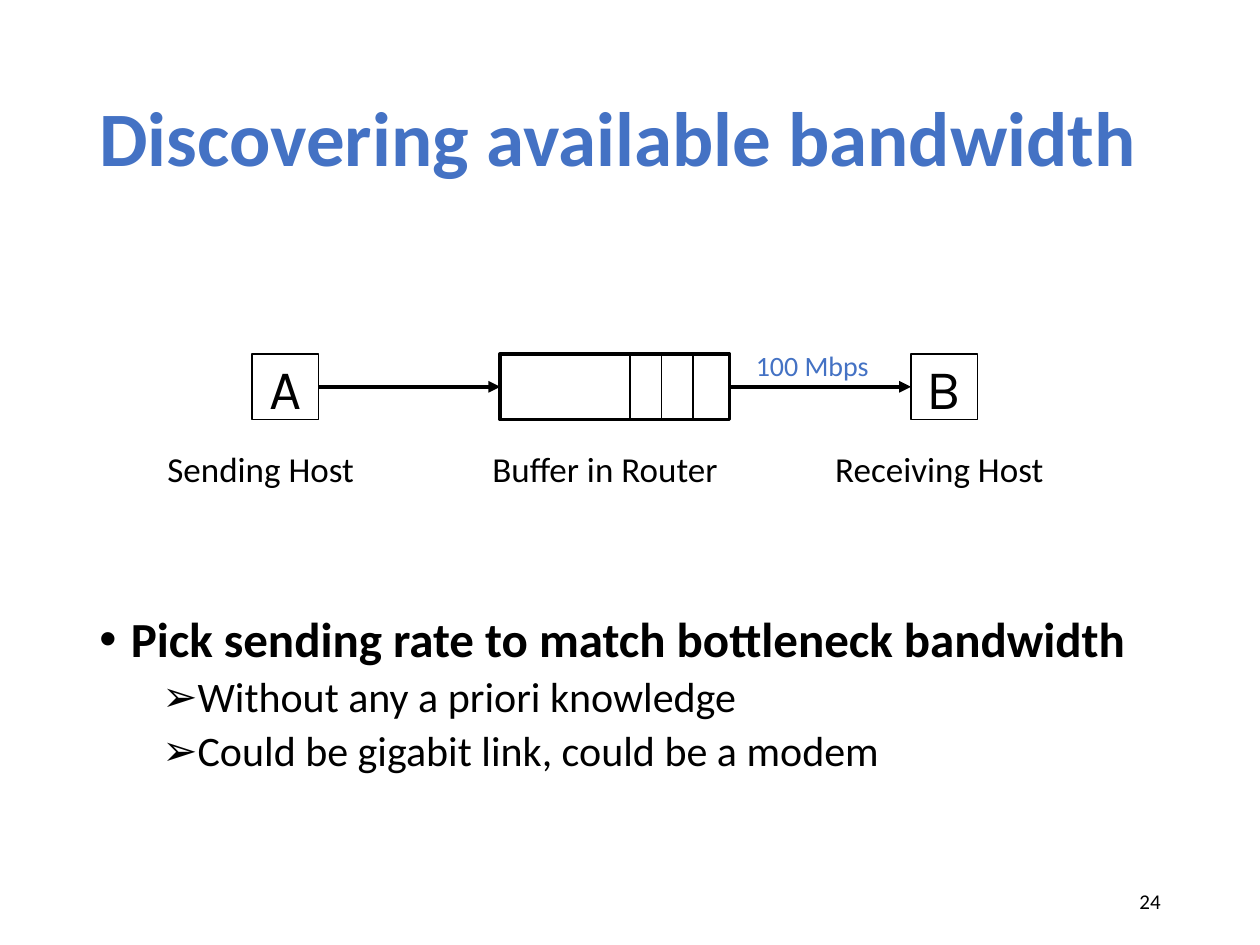
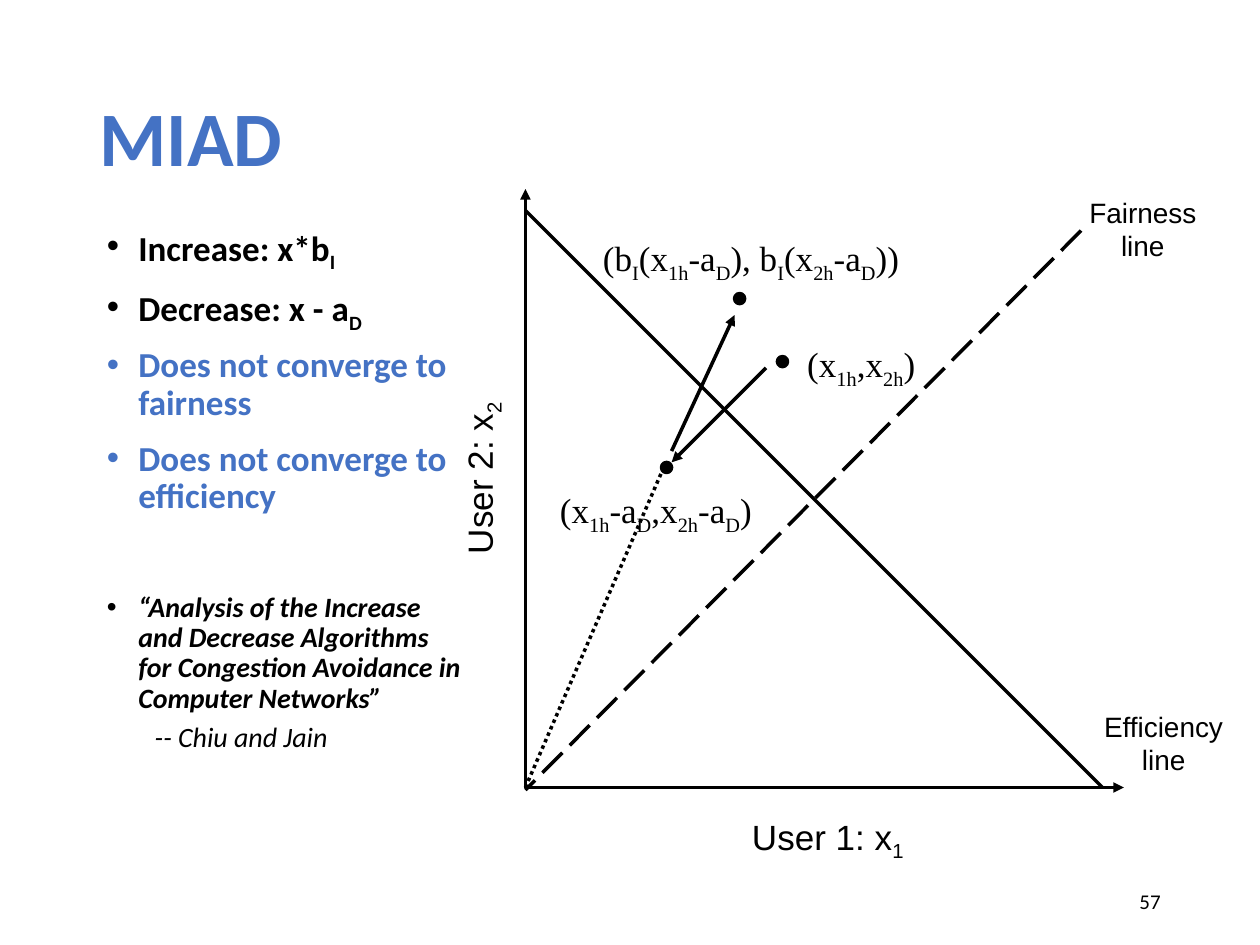
from lxml import etree
from pptx import Presentation
from pptx.dml.color import RGBColor
from pptx.enum.dml import MSO_LINE
from pptx.enum.shapes import MSO_CONNECTOR, MSO_SHAPE
from pptx.enum.text import MSO_ANCHOR, PP_ALIGN
from pptx.oxml.ns import qn
from pptx.util import Inches, Pt

STRAIGHT = MSO_CONNECTOR.STRAIGHT
RECTANGLE, OVAL = MSO_SHAPE.RECTANGLE, MSO_SHAPE.OVAL
TOP, MIDDLE = MSO_ANCHOR.TOP, MSO_ANCHOR.MIDDLE
LEFT, CENTER, RIGHT = PP_ALIGN.LEFT, PP_ALIGN.CENTER, PP_ALIGN.RIGHT
LONG_DASH, DOTTED = MSO_LINE.LONG_DASH, MSO_LINE.ROUND_DOT
LEFT_SIDE, RIGHT_SIDE = 1, 3

BLACK, WHITE, BLUE = "000000", "FFFFFF", "4472C4"
BODY_FONT, HOST_FONT, AXIS_FONT, MATH_FONT = "Calibri", "Karla", "Arial", "Times New Roman"
TITLE_BOX = (0.69, 0.4, 8.62, 1.45)
NUMBER_BOX = (7.06, 6.95, 2.25, 0.4)

# Text between bars is set as a subscript.
BANDWIDTH = {
    "title": "Discovering available bandwidth",
    "number": "24",
    "body_box": (0.69, 4.83, 8.62, 1.93),
    "body": [
        dict(text="Pick sending rate to match bottleneck bandwidth", size=28, bold=True, bullet="•"),
        dict(text="Without any a priori knowledge", size=24, bullet="➢", margin=0.75, before=5),
        dict(text="Could be gigabit link, could be a modem", size=24, bullet="➢", margin=0.75, before=5),
    ],
}
PATH_TOP, PATH_HEIGHT = 2.81, 0.52
PATH_NODES = [("A", 2, 0.53, 0.75), ("", 3.97, 1.82, 2.25), ("B", 7.23, 0.53, 0.75)]
PACKET_EDGES = [5 + 0.25 * i for i in range(3)]
PATH_LABELS = [
    ("100 Mbps", (5.9, 2.72, 1.11, 0.37), 16, BLUE),
    ("Sending Host", (1.23, 3.5, 1.88, 0.43), 20, BLACK),
    ("Buffer in Router", (3.81, 3.5, 2.16, 0.43), 20, BLACK),
    ("Receiving Host", (6.53, 3.5, 2.09, 0.43), 20, BLACK),
]

MIAD = {
    "title": "MIAD",
    "number": "57",
    "body_box": (0.75, 1.75, 3.06, 4.83),
    "body": [
        dict(text="Increase: x*b|I|", bold=True, bullet="•"),
        dict(text="Decrease: x - a|D|", bold=True, bullet="•"),
        dict(text="Does not converge to fairness", bold=True, bullet="•", color=BLUE),
        dict(text="Does not converge to efficiency", bold=True, bullet="•", color=BLUE),
        dict(text="“Analysis of the Increase and Decrease Algorithms for Congestion "
                  "Avoidance in Computer Networks”",
             size=16, bold=True, italic=True, bullet="•", before=44),
        dict(text="-- Chiu and Jain", size=16, italic=True, margin=0.38, before=5),
    ],
}
ORIGIN = (4.17, 6.25)
PLOT_LINES = [
    (ORIGIN, (4.17, 1.5), True, None),
    ((8.58, 1.83), (4.17, 6.27), False, LONG_DASH),
    (ORIGIN, (8.92, 6.25), True, None),
    ((4.17, 1.67), (8.75, 6.25), False, None),
    ((6.08, 2.92), (5.33, 3.67), True, None),
    ((5.33, 3.58), (5.83, 2.5), True, None),
    (ORIGIN, (5.25, 3.75), False, DOTTED),
]
DOT_SIZE = 0.08
RATE_POINTS = [(6.17, 2.83), (5.25, 3.67), (5.83, 2.33)]
PLOT_LABELS = [
    ("(x|1h|,x|2h|)", (6.28, 2.67, 1.11, 0.43), 20, MATH_FONT, 0),
    ("(x|1h|-a|D|,x|2h|-a|D|)", (4.3, 3.83, 1.81, 0.43), 20, MATH_FONT, 0),
    ("(b|I|(x|1h|-a|D|), b|I|(x|2h|-a|D|))", (4.5, 1.83, 2.92, 0.43), 20, MATH_FONT, 0),
    ("Fairness\nline", (8.54, 1.5, 1.06, 0.64), 16, AXIS_FONT, 0),
    ("Efficiency\nline", (8.66, 5.58, 1.15, 0.64), 16, AXIS_FONT, 0),
    ("User 1: x|1|", (5.86, 6.42, 1.42, 0.43), 20, AXIS_FONT, 0),
    ("User 2: x|2|", (3.09, 3.58, 1.42, 0.43), 20, AXIS_FONT, 270),
]


def rgb(color):
    return RGBColor.from_string(color)


def inches(values):
    return [Inches(value) for value in values]


def write(paragraph, text, size=20, font=BODY_FONT, color=BLACK, bold=False, italic=False):
    for index, part in enumerate(text.split("|")):
        if not part:
            continue
        run = paragraph.add_run()
        run.text = part
        run.font.size = Pt(size)
        run.font.name = font
        run.font.color.rgb = rgb(color)
        run.font.bold = bold
        run.font.italic = italic
        if index % 2:
            run.font._element.set("baseline", "-25000")


def add_text(slide, box, text, align=LEFT, anchor=TOP, wrap=False, **style):
    textbox = slide.shapes.add_textbox(*inches(box))
    frame = textbox.text_frame
    frame.word_wrap = wrap
    frame.vertical_anchor = anchor
    for index, line in enumerate(text.split("\n")):
        paragraph = frame.add_paragraph() if index else frame.paragraphs[0]
        paragraph.alignment = align
        write(paragraph, line, **style)
    return textbox


def add_body(slide, box, items):
    frame = slide.shapes.add_textbox(*inches(box)).text_frame
    frame.word_wrap = True
    for index, item in enumerate(items):
        style = dict(item)
        bullet = style.pop("bullet", None)
        margin = style.pop("margin", 0.25)
        before = style.pop("before", 10)
        paragraph = frame.add_paragraph() if index else frame.paragraphs[0]
        paragraph.line_spacing = 0.9
        if index:
            paragraph.space_before = Pt(before)
        properties = paragraph._p.get_or_add_pPr()
        properties.set("marL", str(Inches(margin)))
        properties.set("indent", str(Inches(-0.25 if bullet else 0)))
        if bullet:
            etree.SubElement(properties, qn("a:buFont")).set("typeface", "Arial")
            etree.SubElement(properties, qn("a:buChar")).set("char", bullet)
        write(paragraph, **style)


def add_shape(slide, kind, box, fill, line_width):
    shape = slide.shapes.add_shape(kind, *inches(box))
    shape.shadow.inherit = False
    shape.fill.solid()
    shape.fill.fore_color.rgb = rgb(fill)
    shape.line.color.rgb = rgb(BLACK)
    shape.line.width = Pt(line_width)
    return shape


def add_line(slide, start, end, width, arrow=False, dash=None):
    line = slide.shapes.add_connector(STRAIGHT, *inches(start + end))
    line.line.color.rgb = rgb(BLACK)
    line.line.width = Pt(width)
    if dash:
        line.line.dash_style = dash
    if arrow:
        etree.SubElement(line.line._get_or_add_ln(), qn("a:tailEnd")).set("type", "triangle")
    etree.SubElement(line._element.spPr, qn("a:effectLst"))
    return line


def add_slide(deck, content):
    slide = deck.slides.add_slide(deck.slide_layouts[6])
    add_text(slide, TITLE_BOX, content["title"], anchor=MIDDLE, wrap=True,
             size=44, color=BLUE, bold=True).text_frame.paragraphs[0].line_spacing = 0.9
    add_body(slide, content["body_box"], content["body"])
    add_text(slide, NUMBER_BOX, content["number"], align=RIGHT, anchor=MIDDLE, wrap=True, size=12)
    return slide


def draw_network_path(slide):
    for label, box, size, color in PATH_LABELS:
        add_text(slide, box, label, size=size, color=color)
    nodes = []
    for name, left, width, line_width in PATH_NODES:
        node = add_shape(slide, RECTANGLE, (left, PATH_TOP, width, PATH_HEIGHT), WHITE, line_width)
        frame = node.text_frame
        frame.word_wrap = False
        frame.vertical_anchor = MIDDLE
        frame.margin_left = frame.margin_right = Inches(0.06)
        frame.margin_top = frame.margin_bottom = Inches(0.03)
        frame.paragraphs[0].alignment = CENTER
        write(frame.paragraphs[0], name, size=32, font=HOST_FONT)
        nodes.append(node)
    for sender, receiver in zip(nodes, nodes[1:]):
        link = add_line(slide, (0, 0), (1, 0), 2.25, arrow=True)
        link.begin_connect(sender, RIGHT_SIDE)
        link.end_connect(receiver, LEFT_SIDE)
    for x in PACKET_EDGES:
        add_line(slide, (x, PATH_TOP), (x, PATH_TOP + PATH_HEIGHT), 1)


def draw_rate_plot(slide):
    for start, end, arrow, dash in PLOT_LINES:
        add_line(slide, start, end, 2, arrow, dash)
    for point in RATE_POINTS:
        add_shape(slide, OVAL, point + (DOT_SIZE, DOT_SIZE), BLACK, 2)
    for label, box, size, font, rotation in PLOT_LABELS:
        add_text(slide, box, label, align=CENTER, size=size, font=font).rotation = rotation


def main():
    deck = Presentation()
    deck.slide_width, deck.slide_height = Inches(10), Inches(7.5)
    draw_network_path(add_slide(deck, BANDWIDTH))
    draw_rate_plot(add_slide(deck, MIAD))
    deck.save("out.pptx")


if __name__ == "__main__":
    main()
